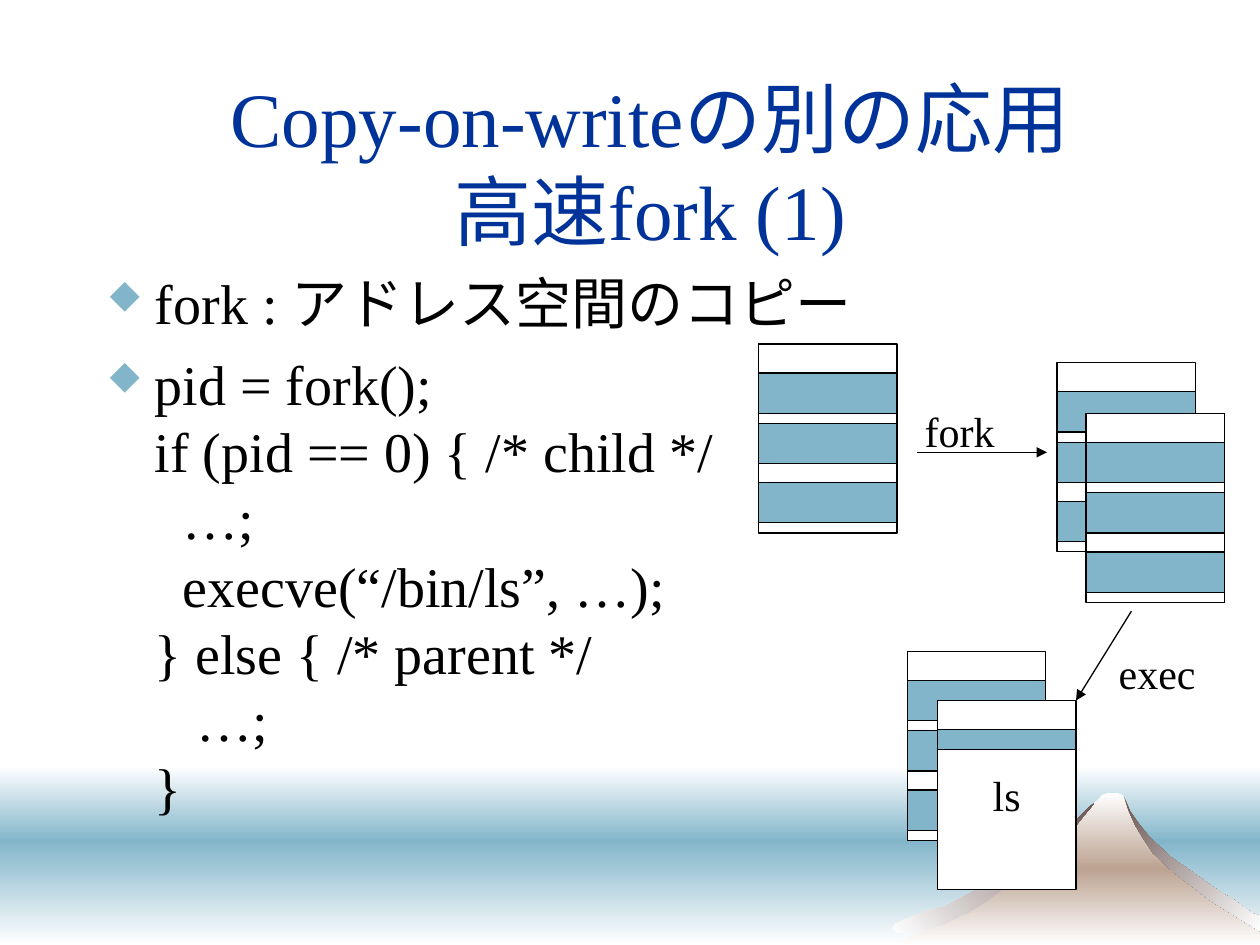
from lxml.etree import SubElement
from pptx import Presentation
from pptx.dml.color import RGBColor
from pptx.enum.shapes import MSO_CONNECTOR, MSO_SHAPE
from pptx.enum.text import MSO_ANCHOR, MSO_AUTO_SIZE, PP_ALIGN
from pptx.oxml import parse_xml
from pptx.oxml.ns import nsdecls, qn
from pptx.util import Inches, Pt

FONT = "Times New Roman"
BLACK, WHITE, BLUE, NAVY = "000000", "FFFFFF", "82B5CA", "003399"
SAND, BROWN = "BCA392", "6B5653"

TITLE = "Copy-on-writeの別の応用\v高速fork (1)"
BULLETS = [
    "fork : アドレス空間のコピー",
    "\v".join([
        "pid = fork();",
        "if (pid == 0) { /* child */",
        "  …;",
        "  execve(“/bin/ls”, …);",
        "} else { /* parent */",
        "   …;",
        "}",
    ]),
]

# top, height, gradient stops; the upper strip reaches slightly under the lower
SEA = [
    (6.08, 0.6, [(0, WHITE), (100, BLUE)]),
    (6.67, 0.83, [(0, BLUE), (100, WHITE)]),
]
# points in hundredths of an inch, gradient stops, gradient angle
MOUNTAIN = [
    ([(711, 750), (790, 705), (840, 666), (869, 637), (875, 631), (880, 629),
      (886, 629), (891, 631), (903, 657), (922, 680), (968, 712), (1000, 733),
      (1000, 750)],
     [(0, WHITE), (50, SAND), (100, WHITE)], 90),
    ([(915, 677), (931, 692), (948, 705), (961, 715), (990, 733), (1000, 739),
      (1000, 727), (994, 725), (979, 714), (970, 709), (929, 680), (912, 664),
      (904, 654), (897, 644), (892, 632), (896, 644), (901, 655), (907, 665)],
     [(0, BROWN), (100, WHITE)], 45),
    ([(832, 668), (799, 692), (792, 695), (782, 702), (751, 719), (735, 723),
      (720, 729), (711, 733), (708, 737), (712, 740), (720, 741), (730, 739),
      (739, 737), (750, 733), (769, 724), (780, 717), (786, 713), (827, 681),
      (851, 659), (864, 643), (868, 638), (865, 640), (856, 649)],
     [(0, WHITE), (100, BROWN)], 315),
]

PAGE_WIDTH, PAGE_HEIGHT = 1.1, 1.5
BAND_HEIGHT = 0.32
BAND_OFFSETS = [0.23, 0.63, 1.1]
ADDRESS_SPACES = [(6.02, 2.73), (8.39, 2.88), (8.62, 3.28), (7.2, 5.17)]
LS_SPACE = (7.44, 5.56)
ARROWS = [((7.28, 3.59), (8.31, 3.59)), ((8.98, 4.85), (8.54, 5.56))]
LABELS = [("fork", (7.24, 3.17, 0.76, 0.5)), ("exec", (8.78, 5.09, 0.81, 0.5))]


def color(value):
    return RGBColor.from_string(value)


def place(shape, *box):
    shape.left, shape.top, shape.width, shape.height = map(Inches, box)


def write(shape, *texts, size=24, ink=BLACK, align=PP_ALIGN.LEFT,
          anchor=MSO_ANCHOR.TOP, wrap=True, before=0):
    """Fill a shape with one paragraph per text, lines 1.2 times the size."""
    frame = shape.text_frame
    frame.word_wrap = wrap
    frame.vertical_anchor = anchor
    for index, text in enumerate(texts):
        para = frame.add_paragraph() if index else frame.paragraphs[0]
        para.text = text
        para.alignment = align
        para.line_spacing = Pt(size * 1.2)
        para.space_before = Pt(before)
        for span in para.runs:
            span.font.name = FONT
            span.font.size = Pt(size)
            span.font.color.rgb = color(ink)
    return frame


def add_bullet(para):
    """Hang a small blue diamond, which is the letter u in Wingdings."""
    properties = para._p.get_or_add_pPr()
    properties.set("marL", str(Inches(0.38)))
    properties.set("indent", str(-Inches(0.38)))
    bullet_color = SubElement(properties, qn("a:buClr"))
    SubElement(bullet_color, qn("a:srgbClr"), val=BLUE)
    SubElement(properties, qn("a:buSzPct"), val="65000")
    SubElement(properties, qn("a:buFont"), typeface="Wingdings", charset="2")
    SubElement(properties, qn("a:buChar"), char="u")


def paint_gradient(shape, stops, angle):
    """Give a shape a borderless linear gradient, angle clockwise in degrees."""
    shape.shadow.inherit = False
    shape.line.fill.background()
    marks = "".join(
        f'<a:gs pos="{position * 1000}"><a:srgbClr val="{value}"/></a:gs>'
        for position, value in stops)
    gradient = parse_xml(
        f'<a:gradFill {nsdecls("a")} rotWithShape="1"><a:gsLst>{marks}</a:gsLst>'
        f'<a:lin ang="{angle * 60000}" scaled="0"/></a:gradFill>')
    shape.line._ln.addprevious(gradient)


def add_rectangle(shapes, left, top, width, height, fill):
    box = shapes.add_shape(MSO_SHAPE.RECTANGLE, *map(Inches, (left, top, width, height)))
    box.shadow.inherit = False
    box.fill.solid()
    box.fill.fore_color.rgb = color(fill)
    box.line.color.rgb = color(BLACK)
    box.line.width = Pt(0.75)
    return box


def add_address_space(shapes, left, top):
    add_rectangle(shapes, left, top, PAGE_WIDTH, PAGE_HEIGHT, WHITE)
    for offset in BAND_OFFSETS:
        add_rectangle(shapes, left, top + offset, PAGE_WIDTH, BAND_HEIGHT, BLUE)


def add_arrow(shapes, start, end):
    arrow = shapes.add_connector(MSO_CONNECTOR.STRAIGHT, *map(Inches, start + end))
    arrow.line.color.rgb = color(BLACK)
    arrow.line.width = Pt(0.75)
    SubElement(arrow.line._ln, qn("a:tailEnd"), type="triangle")
    SubElement(arrow._element.spPr, qn("a:effectLst"))


def add_scenery(shapes):
    for top, height, stops in SEA:
        strip = shapes.add_shape(
            MSO_SHAPE.RECTANGLE, *map(Inches, (0, top, 10, height)))
        paint_gradient(strip, stops, 90)
    for points, stops, angle in MOUNTAIN:
        builder = shapes.build_freeform(*points[0], scale=Inches(0.01))
        builder.add_line_segments(points[1:], close=True)
        paint_gradient(builder.convert_to_shape(), stops, angle)


def main():
    deck = Presentation()
    deck.slide_width, deck.slide_height = Inches(10), Inches(7.5)
    page = deck.slides.add_slide(deck.slide_layouts[5])
    shapes = page.shapes
    add_scenery(shapes)

    place(shapes.title, 0.75, 0.67, 8.82, 1.25)
    write(shapes.title, TITLE, size=44, ink=NAVY, align=PP_ALIGN.CENTER,
          anchor=MSO_ANCHOR.MIDDLE)

    body = shapes.add_textbox(*map(Inches, (0.75, 2.08, 8.5, 4.5)))
    for para in write(body, *BULLETS, size=32, before=8).paragraphs:
        add_bullet(para)

    for left, top in ADDRESS_SPACES:
        add_address_space(shapes, left, top)
    left, top = LS_SPACE
    ls_box = add_rectangle(shapes, left, top, PAGE_WIDTH, PAGE_HEIGHT, WHITE)
    write(ls_box, "ls", align=PP_ALIGN.CENTER, anchor=MSO_ANCHOR.MIDDLE, wrap=False)
    add_rectangle(shapes, left, top + BAND_OFFSETS[0], PAGE_WIDTH, BAND_HEIGHT / 2, BLUE)

    for start, end in ARROWS:
        add_arrow(shapes, start, end)
    for text, box in LABELS:
        frame = write(shapes.add_textbox(*map(Inches, box)), text, wrap=False)
        frame.auto_size = MSO_AUTO_SIZE.SHAPE_TO_FIT_TEXT

    deck.save("out.pptx")


if __name__ == "__main__":
    main()
